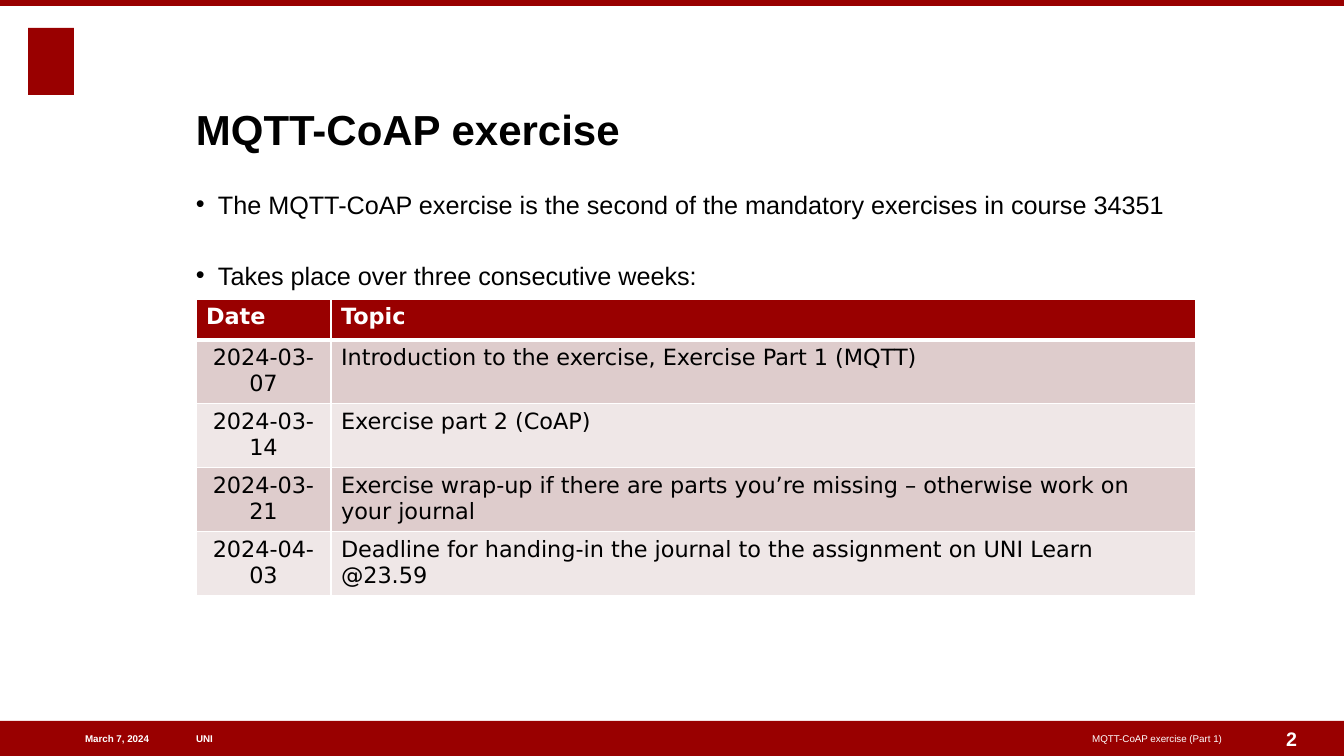
from pptx import Presentation
from pptx.dml.color import RGBColor as RGB
from pptx.enum.shapes import MSO_SHAPE as SHAPE
from pptx.enum.text import MSO_ANCHOR as ANCHOR, PP_ALIGN as ALIGN
from pptx.oxml import parse_xml
from pptx.oxml.ns import nsdecls
from pptx.util import Emu, Pt

SCALE = 12192000 / 1344
COLORS = {"red": "990000", "white": "FFFFFF", "black": "000000",
          "dark_band": "DECCCC", "light_band": "EFE7E7"}


def px(n):
    return Emu(round(n * SCALE))


class Deck:
    """Holds the style and the current slide."""

    def __init__(self):
        self.prs = Presentation()
        self.prs.slide_width, self.prs.slide_height = px(1344), px(756)
        self.s = self.prs.slides.add_slide(self.prs.slide_layouts[6])

    def run(self, p, text, size, color="black", bold=False, font="Arial"):
        r = p.add_run()
        r.text = text
        r.font.size, r.font.bold, r.font.name = Pt(size), bold, font
        r.font.color.rgb = RGB.from_string(COLORS[color])

    def bar(self, x, y, w, h):
        sp = self.s.shapes.add_shape(SHAPE.RECTANGLE, px(x), px(y), px(w), px(h))
        sp.shadow.inherit = False
        sp.fill.solid()
        sp.fill.fore_color.rgb = RGB.from_string(COLORS["red"])
        sp.line.fill.background()

    def frame(self, x, y, w, h, anchor):
        tf = self.s.shapes.add_textbox(px(x), px(y), px(w), px(h)).text_frame
        tf.word_wrap = True
        tf.vertical_anchor = anchor
        tf.margin_left = tf.margin_top = tf.margin_right = tf.margin_bottom = 0
        return tf

    def text(self, x, y, w, h, text, size, color="black", bold=True,
             align=ALIGN.LEFT, anchor=ANCHOR.MIDDLE):
        p = self.frame(x, y, w, h, anchor).paragraphs[0]
        p.alignment = align
        self.run(p, text, size, color, bold)

    def bullets(self, x, y, w, h, items, size, gap):
        tf = self.frame(x, y, w, h, ANCHOR.TOP)
        for i, item in enumerate(items):
            p = tf.add_paragraph() if i else tf.paragraphs[0]
            p.space_before = Pt(gap if i else 2)
            pPr = p._p.get_or_add_pPr()
            pPr.set("marL", str(px(22)))
            pPr.set("indent", str(-px(22)))
            pPr.append(parse_xml(f'<a:buFont {nsdecls("a")} typeface="Arial"/>'))
            pPr.append(parse_xml(f'<a:buChar {nsdecls("a")} char="•"/>'))
            self.run(p, item, size)

    def borders(self, cell, top, bottom):
        tcPr = cell._tc.get_or_add_tcPr()
        for side, width in (("L", 1), ("R", 1), ("T", top), ("B", bottom)):
            tcPr.append(parse_xml(
                f'<a:ln{side} {nsdecls("a")} w="{Pt(width)}"><a:solidFill>'
                f'<a:srgbClr val="{COLORS["white"]}"/></a:solidFill></a:ln{side}>'))

    def table(self, x, y, widths, row_h, rows, size):
        table = self.s.shapes.add_table(
            len(rows), len(widths), px(x), px(y),
            px(sum(widths)), px(row_h * len(rows))).table
        for col, width in zip(table.columns, widths):
            col.width = px(width)
        for i, row in enumerate(rows):
            head = i == 0
            band = "red" if head else "dark_band" if i % 2 else "light_band"
            for j, text in enumerate(row):
                cell = table.cell(i, j)
                self.borders(cell, 3 if i == 1 else 1, 3 if head else 1)
                cell.fill.solid()
                cell.fill.fore_color.rgb = RGB.from_string(COLORS[band])
                p = cell.text_frame.paragraphs[0]
                p.alignment = ALIGN.LEFT if head or j else ALIGN.CENTER
                self.run(p, text, size, "white" if head else "black", head, "DejaVu Sans")


def main():
    deck = Deck()
    deck.bar(28, 28, 46, 67)
    deck.bar(0, 721, 1344, 35)
    deck.bar(0, 0, 1344, 6)
    deck.text(196, 721, 375, 35, "UNI", 7, "white")
    deck.text(27, 721, 122, 35, "March 7, 2024", 7, "white", align=ALIGN.RIGHT)
    deck.text(616, 721, 606, 35, "MQTT-CoAP exercise (Part 1)", 7, "white",
              bold=False, align=ALIGN.RIGHT)
    deck.text(1268, 721, 47, 35, "2", 14, "white", align=ALIGN.CENTER)
    deck.text(196, 47, 1026, 107, "MQTT-CoAP exercise", 30, anchor=ANCHOR.BOTTOM)
    deck.bullets(196, 189, 1026, 501, [
        "The MQTT-CoAP exercise is the second of the mandatory exercises in course 34351",
        "Takes place over three consecutive weeks:",
    ], 18, 29)
    deck.table(196, 299, [135, 865], 41, [
        ("Date", "Topic"),
        ("2024-03-07", "Introduction to the exercise, Exercise Part 1 (MQTT)"),
        ("2024-03-14", "Exercise part 2 (CoAP)"),
        ("2024-03-21", "Exercise wrap-up if there are parts you’re missing – "
                       "otherwise work on your journal"),
        ("2024-04-03", "Deadline for handing-in the journal to the assignment "
                       "on UNI Learn @23.59"),
    ], 16)
    deck.prs.save("out.pptx")


if __name__ == "__main__":
    main()
